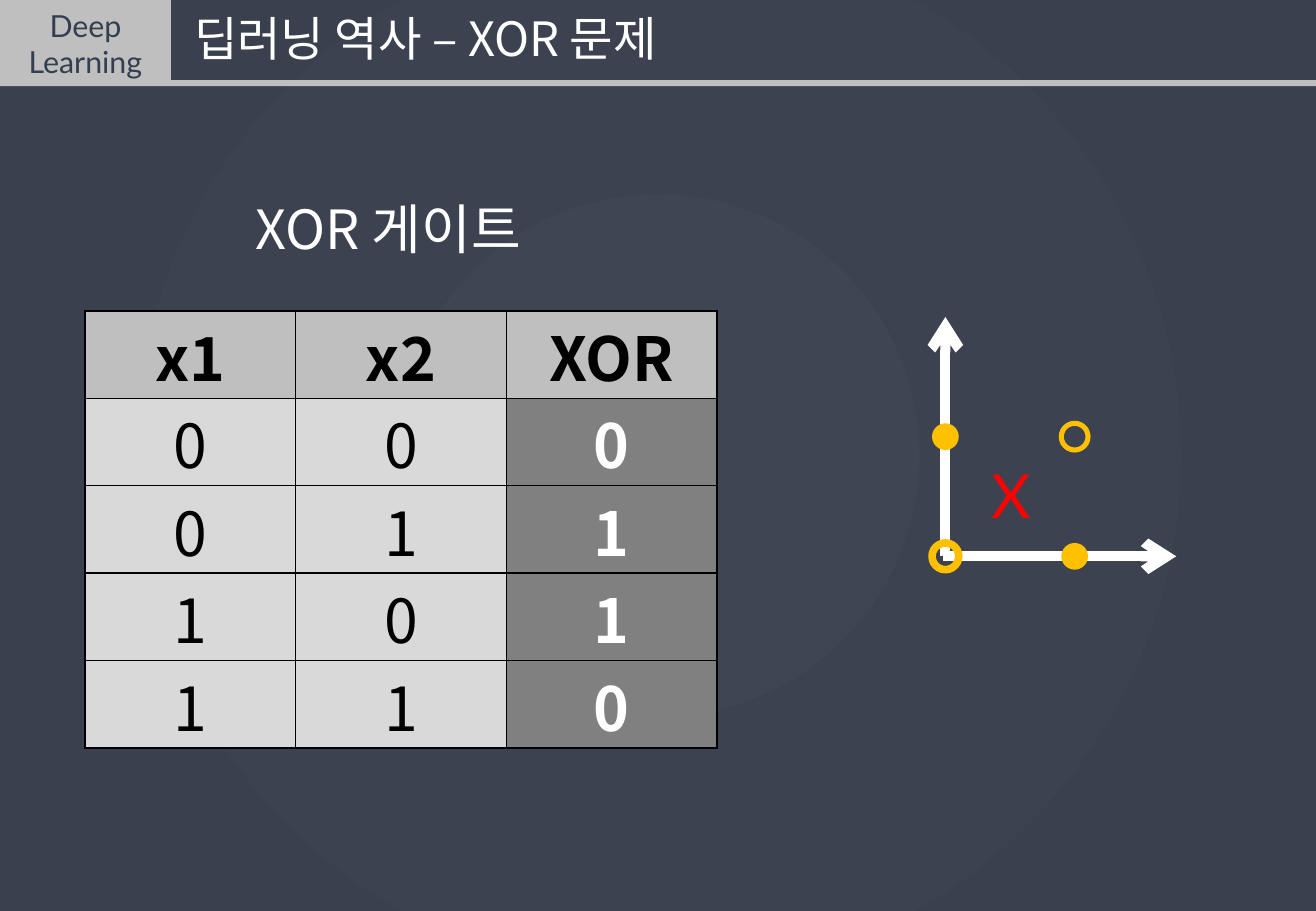
from dataclasses import dataclass

from lxml import etree
from pptx import Presentation
from pptx.dml.color import RGBColor
from pptx.enum.shapes import MSO_CONNECTOR, MSO_SHAPE
from pptx.enum.text import MSO_ANCHOR, PP_ALIGN
from pptx.oxml.ns import qn
from pptx.util import Inches, Pt

RECTANGLE, OVAL = MSO_SHAPE.RECTANGLE, MSO_SHAPE.OVAL
STRAIGHT = MSO_CONNECTOR.STRAIGHT
LEFT, CENTER = PP_ALIGN.LEFT, PP_ALIGN.CENTER
MIDDLE = MSO_ANCHOR.MIDDLE
WIDTH, HEIGHT = 10.83, 7.5
LATO, NOTO = "Lato", "Noto Sans CJK KR"
WHITE, BLACK, SILVER, PALE = "FFFFFF", "000000", "BFBFBF", "D9D9D9"
GRAY, AMBER, RED, NAVY = "808080", "FFC000", "FF0000", "333F50"
XOR_ROWS = [
    ["x1", "x2", "XOR"],
    ["0", "0", "0"],
    ["0", "1", "1"],
    ["1", "0", "1"],
    ["1", "1", "0"],
]


@dataclass
class Box:
    """A rectangle in inches that can be divided by shares."""
    left: float
    top: float
    width: float
    height: float

    def share(self, left, top, width, height):
        """Return the inner box given by shares of this one."""
        return Box(self.left + left * self.width, self.top + top * self.height,
                   width * self.width, height * self.height)

    def lengths(self):
        """Return the four lengths for python-pptx."""
        return [Inches(v) for v in (self.left, self.top, self.width, self.height)]


def color(value):
    """Turn a hex string into a colour."""
    return RGBColor.from_string(value)


def write(frame, text, font=NOTO, size=18, ink=WHITE, bold=False, align=CENTER):
    """Fill a text frame with one paragraph per line of text."""
    frame.word_wrap = True
    frame.vertical_anchor = MIDDLE
    for index, line in enumerate(text.split("\n")):
        para = frame.add_paragraph() if index else frame.paragraphs[0]
        para.alignment = align
        span = para.add_run()
        span.text = line
        span.font.name = font
        span.font.size = Pt(size)
        span.font.bold = bold
        span.font.color.rgb = color(ink)
        etree.SubElement(span.font._element, qn("a:ea"), typeface=font)


def add_label(page, box, text, **style):
    """Add a text box."""
    frame = page.shapes.add_textbox(*box.lengths()).text_frame
    write(frame, text, **style)
    return frame


def add_figure(shapes, kind, box, fill=None, line=None, weight=1):
    """Add a preset shape with a plain fill and outline."""
    shape = shapes.add_shape(kind, *box.lengths())
    shape.shadow.inherit = False
    if fill:
        shape.fill.solid()
        shape.fill.fore_color.rgb = color(fill)
    else:
        shape.fill.background()
    if line:
        shape.line.color.rgb = color(line)
        shape.line.width = Pt(weight)
    else:
        shape.line.fill.background()
    return shape


def paint_background(page):
    """Give the page a circular gradient."""
    fill = page.background.fill
    fill.gradient()
    for stop, (position, value) in zip(fill.gradient_stops, [(0, "3F4553"), (0.98, "3A404E")]):
        stop.position = position
        stop.color.rgb = color(value)
    gradient = page.element.find(".//" + qn("a:gradFill"))
    gradient.remove(gradient.find(qn("a:lin")))
    circle = etree.SubElement(gradient, qn("a:path"), path="circle")
    etree.SubElement(circle, qn("a:fillToRect"), l="50000", t="50000", r="50000", b="50000")


def add_header(page, box):
    """Draw the course tag, the page title and the rule under it."""
    tag = 0.13
    add_figure(page.shapes, RECTANGLE, box.share(tag, 0.93, 1 - tag, 0.07), SILVER)
    corner = add_figure(page.shapes, RECTANGLE, box.share(0, 0, tag, 1), SILVER)
    write(corner.text_frame, "Deep\nLearning", font=LATO, ink=NAVY)
    title = add_label(page, box.share(tag, 0.03, 1 - tag, 0.82),
                      "딥러닝 역사 – XOR 문제", size=28, align=LEFT)
    title.margin_left = Inches(0.19)


def add_border(cell):
    """Draw a thin black line on each side of a cell."""
    properties = cell._tc.get_or_add_tcPr()
    for index, side in enumerate(("a:lnL", "a:lnR", "a:lnT", "a:lnB")):
        line = etree.Element(qn(side), w=str(Pt(1)))
        fill = etree.SubElement(line, qn("a:solidFill"))
        etree.SubElement(fill, qn("a:srgbClr"), val=BLACK)
        properties.insert(index, line)


def add_truth_table(page, box):
    """Draw the truth table with a header row and a result column."""
    rows, columns = len(XOR_ROWS), len(XOR_ROWS[0])
    table = page.shapes.add_table(rows, columns, *box.lengths()).table
    for r, values in enumerate(XOR_ROWS):
        for c, value in enumerate(values):
            cell = table.cell(r, c)
            header, result = r == 0, c == columns - 1
            cell.margin_top = cell.margin_bottom = 0
            cell.vertical_anchor = MIDDLE
            cell.fill.solid()
            cell.fill.fore_color.rgb = color(SILVER if header else GRAY if result else PALE)
            write(cell.text_frame, value, size=36, bold=header or result,
                  ink=WHITE if result and not header else BLACK)
            add_border(cell)


def add_axis(shapes, start, end):
    """Draw a thick white arrow."""
    axis = shapes.add_connector(STRAIGHT, *[Inches(v) for v in (*start, *end)])
    axis.line.color.rgb = color(WHITE)
    axis.line.width = Pt(6)
    etree.SubElement(axis.line._get_or_add_ln(), qn("a:tailEnd"), type="arrow")
    etree.SubElement(axis._element.spPr, qn("a:effectLst"))


def add_plot(page, box):
    """Draw two axes and the four input points of the gate."""
    shapes = page.shapes.add_group_shape().shapes
    floor = box.top + box.height
    add_axis(shapes, (box.left, floor), (box.left, box.top))
    add_axis(shapes, (box.left - 0.02, floor), (box.left + box.width, floor))
    dot = 0.22
    for x, y, filled, weight in [(1, 1, False, 3), (1, 0, True, 0),
                                 (0, 0, False, 4.5), (0, 1, True, 0)]:
        spot = Box(box.left + 0.56 * x * box.width - dot / 2,
                   floor - 0.5 * y * box.height - dot / 2, dot, dot)
        add_figure(shapes, OVAL, spot, fill=AMBER if filled else None,
                   line=None if filled else AMBER, weight=weight)
    add_label(page, box.share(0.04, 0.56, 0.49, 0.36), "X", font=LATO, size=36, ink=RED)


def main():
    """Build the deck."""
    deck = Presentation()
    deck.slide_width, deck.slide_height = Inches(WIDTH), Inches(HEIGHT)
    page = deck.slides.add_slide(deck.slide_layouts[6])
    sheet = Box(0, 0, WIDTH, HEIGHT)
    paint_background(page)
    add_header(page, Box(0, 0, WIDTH, 0.71))
    add_label(page, sheet.share(-0.09, 0.21, 0.77, 0.08), "XOR 게이트", size=32)
    add_truth_table(page, Box(0.7, 2.56, 5.2, 3.6))
    add_plot(page, Box(7.78, 2.61, 1.9, 1.97))
    deck.save("out.pptx")


if __name__ == "__main__":
    main()
